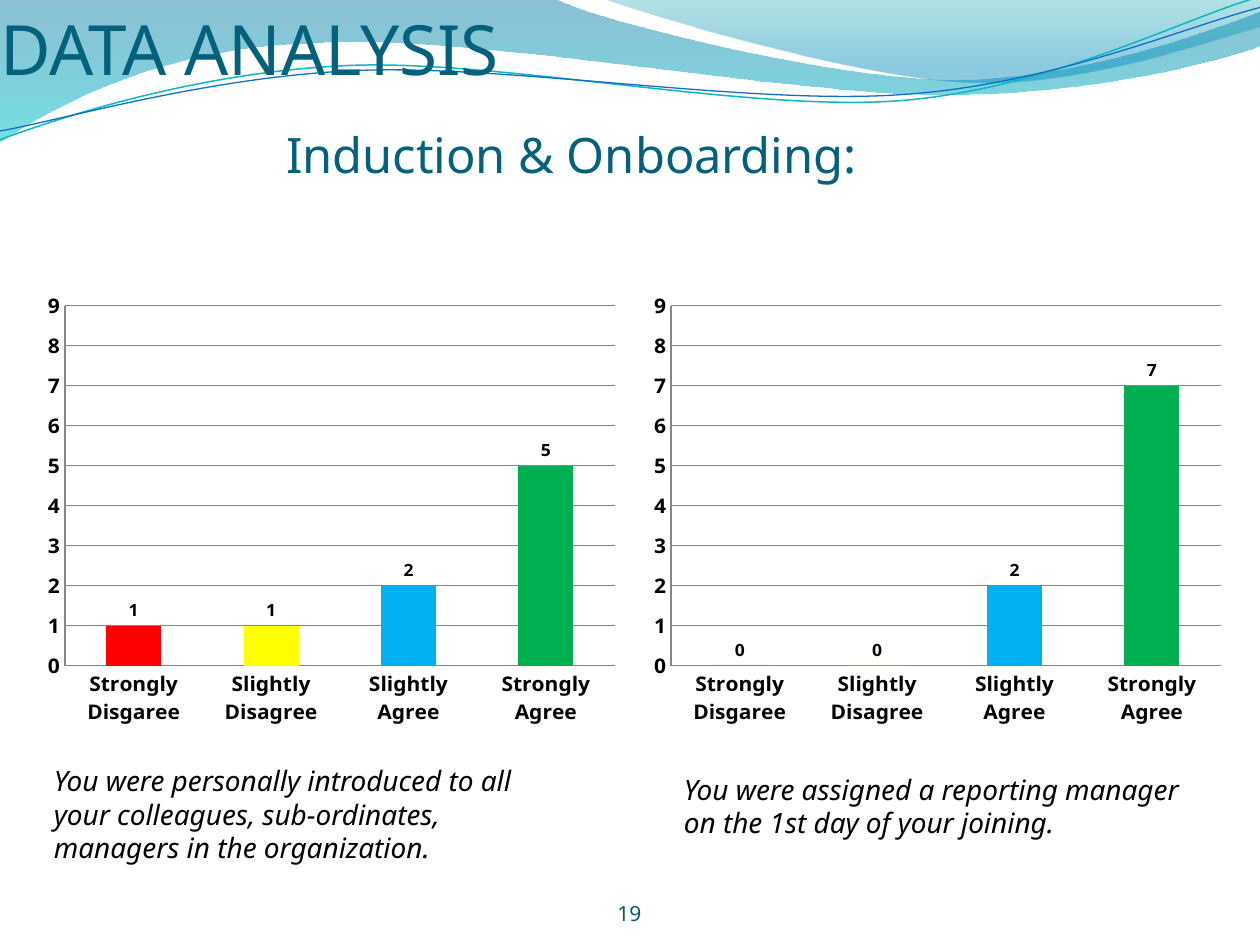
import math

import lxml.etree
import pptx
import pptx.chart.data
import pptx.dml.color
import pptx.enum.chart
import pptx.enum.text
import pptx.oxml
import pptx.oxml.ns
import pptx.util

Inches = pptx.util.Inches
Pt = pptx.util.Pt
qn = pptx.oxml.ns.qn
ALIGN = pptx.enum.text.PP_ALIGN
ANCHOR = pptx.enum.text.MSO_ANCHOR
SIZING = pptx.enum.text.MSO_AUTO_SIZE

COLORS = {
    "title": "04617B", "number": "045D75", "text": "000000",
    "red": "FF0000", "yellow": "FFFF00", "blue": "00B0F0", "green": "00B050",
    "teal": "0AB8BF", "navy": "0F6FC6",
    "sea": "0074A1", "aqua": "00C6CF", "lagoon": "00A1A9", "sky": "008BBF",
}
BARS = ("red", "yellow", "blue", "green")
LEVELS = ("Strongly Disgaree", "Slightly Disagree", "Slightly Agree", "Strongly Agree")
PLOT = {"x": 0.051, "y": 0.099, "w": 0.907, "h": 0.813}
TILT = -2.7

# Each outline is a start point, then lines (1 point) or Bezier curves (3 points).
LEFT_WAVE = [
    [(0, 0)], [(4.4, -0.01)], [(4.76, 0.17), (6.64, 0.63), (7.58, 0.63)],
    [(8.53, 0.63), (9.58, 0.26), (10, 0.09)], [(10.01, 0.36)],
    [(9.83, 0.44), (8.7, 0.76), (7.46, 0.75)],
    [(6.22, 0.75), (3.82, 0.28), (2.57, 0.34)],
    [(1.29, 0.36), (0.46, 0.83), (-0.01, 1.13)], [(0, 0)]]
RIGHT_WAVE = [
    [(4.79, -0.01)], [(5.09, 0.11), (6.82, 0.62), (7.69, 0.65)],
    [(8.56, 0.69), (9.61, 0.32), (10, 0.21)], [(10, 0)], [(4.79, -0.01)]]
TEAL_CURVE = [
    [(0, 1.11)], [(0.48, 0.93), (1.58, 0.57), (2.77, 0.52)],
    [(3.95, 0.47), (5.93, 0.89), (7.13, 0.8)],
    [(8.33, 0.71), (9.38, 0.15), (9.98, -0.02)]]
NAVY_CURVE = [
    [(0, 1.04)], [(0.47, 0.96), (1.64, 0.61), (2.83, 0.56)],
    [(4.03, 0.51), (5.97, 0.84), (7.17, 0.75)],
    [(8.36, 0.67), (9.41, 0.21), (10, 0.06)]]


def shade(name):
    return pptx.dml.color.RGBColor.from_string(COLORS[name])


def level(outline, tilt):
    """Turn an outline back by its tilt, around the middle of its ends."""
    (x1, y1), (x2, y2) = outline[0][0], outline[-1][-1]
    mid_x, mid_y = (x1 + x2) / 2, (y1 + y2) / 2
    cos, sin = math.cos(math.radians(-tilt)), math.sin(math.radians(-tilt))
    return [[(mid_x + (x - mid_x) * cos - (y - mid_y) * sin,
              mid_y + (x - mid_x) * sin + (y - mid_y) * cos) for x, y in part]
            for part in outline]


def write(frame, text, size=16, color="text", font="Noto Sans", italic=False,
          align=ALIGN.LEFT):
    """Add a run to the first paragraph."""
    para = frame.paragraphs[0]
    para.alignment = align
    run = para.add_run()
    run.text = text
    run.font.name, run.font.size, run.font.italic = font, Pt(size), italic
    run.font.color.rgb = shade(color)
    return para


class Painter:
    def __init__(self, slide, font="Noto Sans"):
        self.slide, self.font = slide, font

    def outline(self, outline, close):
        """Draw through the end points, then bend the lines that are curves."""
        ends = [tuple(map(Inches, part[-1])) for part in outline]
        pen = self.slide.shapes.build_freeform(*ends[0])
        pen.add_line_segments(ends[1:], close=close)
        shape = pen.convert_to_shape()
        shape.shadow.inherit = False
        lines = list(shape._element.spPr.iter(qn("a:lnTo")))
        for line, part in zip(lines, outline[1:]):
            if len(part) == 1:
                continue
            line.tag = qn("a:cubicBezTo")
            for place, (x, y) in enumerate(part[:-1]):
                knot = lxml.etree.Element(qn("a:pt"))
                knot.set("x", str(Inches(x) - shape.left))
                knot.set("y", str(Inches(y) - shape.top))
                line.insert(place, knot)
        return shape

    def wave(self, outline, stops):
        """Fill an outline from top to bottom; a stop is place, colour, opacity percent."""
        shape = self.outline(outline, True)
        shape.line.fill.background()
        shape.fill.gradient()
        shape.fill.gradient_angle = 270
        for stop, (place, color, _) in zip(shape.fill.gradient_stops, stops):
            stop.position = place
            stop.color.rgb = shade(color)
        tints = shape._element.spPr.iter(qn("a:srgbClr"))
        for tint, (_, _, alpha) in zip(list(tints), stops):
            lxml.etree.SubElement(tint, qn("a:alpha")).set("val", str(alpha * 1000))

    def curve(self, outline, color, width):
        shape = self.outline(level(outline, TILT), False)
        # The ends are not the extremes, so turn around the same middle.
        (x1, y1), (x2, y2) = outline[0][0], outline[-1][-1]
        drift_x = shape.left + shape.width / 2 - Inches((x1 + x2) / 2)
        drift_y = shape.top + shape.height / 2 - Inches((y1 + y2) / 2)
        turn = math.radians(TILT)
        shape.left += round(drift_x * (math.cos(turn) - 1) - drift_y * math.sin(turn))
        shape.top += round(drift_x * math.sin(turn) + drift_y * (math.cos(turn) - 1))
        shape.rotation = TILT
        shape.fill.background()
        shape.line.color.rgb = shade(color)
        shape.line.width = Pt(width)

    def box(self, left, top, width, height, anchor=ANCHOR.TOP, inset=True):
        box = self.slide.shapes.add_textbox(*map(Inches, (left, top, width, height)))
        frame = box.text_frame
        frame.word_wrap, frame.vertical_anchor = True, anchor
        if inset:
            frame.auto_size = SIZING.SHAPE_TO_FIT_TEXT
        else:
            frame.margin_left = frame.margin_right = 0
            frame.margin_top = frame.margin_bottom = 0
        return frame

    def title(self, first, second):
        """Two lines of one paragraph; a hanging indent moves the second one in."""
        frame = self.box(0, 0.25, 9.08, 1.25, ANCHOR.BOTTOM, inset=False)
        frame.margin_bottom = Inches(0.05)
        para = write(frame, first, size=39.6, color="title")
        para.add_line_break()
        write(frame, second, size=27.9, color="title")
        para.line_spacing = Pt(53.7)
        format = para._p.get_or_add_pPr()
        format.set("marL", str(Inches(2.27)))
        format.set("indent", str(-Inches(2.27)))

    def style(self, font, size, bold=False):
        font.name, font.size, font.bold = self.font, Pt(size), bold
        font.color.rgb = shade("text")

    def chart(self, left, top, width, height, values):
        data = pptx.chart.data.CategoryChartData(number_format="0")
        data.categories = LEVELS
        data.add_series("Series 1", values)
        chart = self.slide.shapes.add_chart(
            pptx.enum.chart.XL_CHART_TYPE.COLUMN_CLUSTERED,
            *map(Inches, (left, top, width, height)), data).chart
        chart.has_legend = chart.has_title = False
        self.style(chart.font, 10)
        for axis in (chart.category_axis, chart.value_axis):
            axis.major_tick_mark = pptx.enum.chart.XL_TICK_MARK.NONE
            self.style(axis.tick_labels.font, 12, True)
        scale = chart.value_axis
        scale.has_major_gridlines = True
        scale.minimum_scale, scale.maximum_scale, scale.major_unit = 0, 9, 1

        plot = chart.plots[0]
        plot.gap_width, plot.vary_by_categories = 150, False
        series = plot.series[0]
        parts = [series] + [series.points[index] for index in range(1, len(BARS))]
        for part, color in zip(parts, BARS):
            part.format.fill.solid()
            part.format.fill.fore_color.rgb = shade(color)
        labels = series.data_labels
        labels.show_value = True
        labels.position = pptx.enum.chart.XL_LABEL_POSITION.OUTSIDE_END
        self.style(labels.font, 10, True)
        self.place(chart)

    def place(self, chart):
        """Fix the inner plot area as shares of the chart."""
        area = chart._chartSpace.chart.plotArea
        for old in area.findall(qn("c:layout")):
            area.remove(old)
        layout = pptx.oxml.parse_xml(
            "<c:layout %s><c:manualLayout/></c:layout>" % pptx.oxml.ns.nsdecls("c"))
        area.insert(0, layout)
        marks = {"layoutTarget": "inner", "xMode": "edge", "yMode": "edge", **PLOT}
        for tag, value in marks.items():
            lxml.etree.SubElement(layout[0], qn("c:" + tag)).set("val", str(value))


def main():
    deck = pptx.Presentation()
    deck.slide_width, deck.slide_height = Inches(10), Inches(7.5)
    paint = Painter(deck.slides.add_slide(deck.slide_layouts[6]))

    paint.wave(LEFT_WAVE, [(0, "sea", 45), (1, "aqua", 55)])
    paint.wave(RIGHT_WAVE, [(0, "lagoon", 30), (0.8, "sky", 45)])
    paint.curve(TEAL_CURVE, "teal", 0.85)
    paint.curve(NAVY_CURVE, "navy", 0.75)

    paint.title("DATA ANALYSIS", "Induction & Onboarding:")
    number = paint.box(4.58, 6.95, 0.83, 0.4, ANCHOR.BOTTOM, inset=False)
    write(number, "19", size=12, color="number", align=ALIGN.CENTER)
    write(paint.box(0.33, 6.01, 4, 0.91),
          "You were personally introduced to all your colleagues, sub-ordinates, "
          "managers in the organization.", italic=True)
    write(paint.box(5.33, 6.08, 4.17, 0.64),
          "You were assigned a reporting manager on the 1st day of your joining.", italic=True)

    for left, values in ((0.27, (1, 1, 2, 5)), (5.08, (0, 0, 2, 7))):
        paint.chart(left, 2.08, 4.81, 3.68, values)

    deck.save("out.pptx")


if __name__ == "__main__":
    main()
